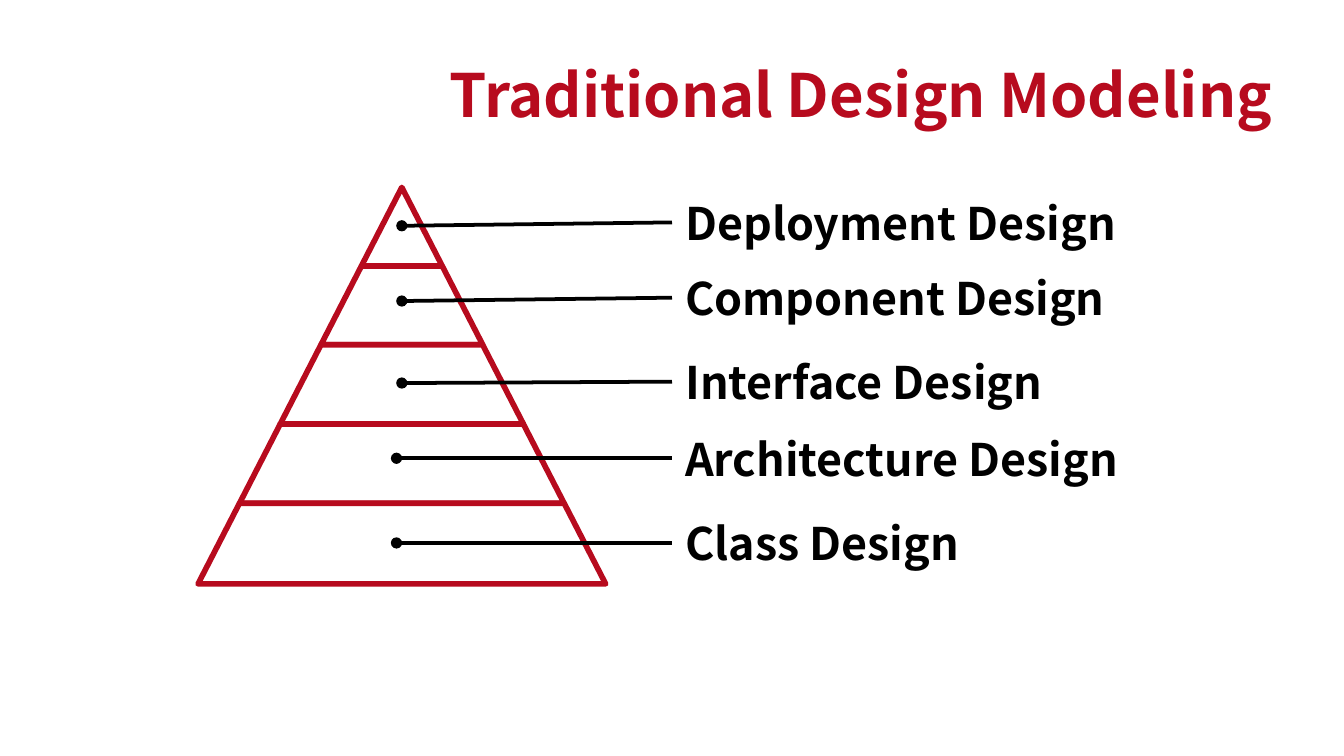
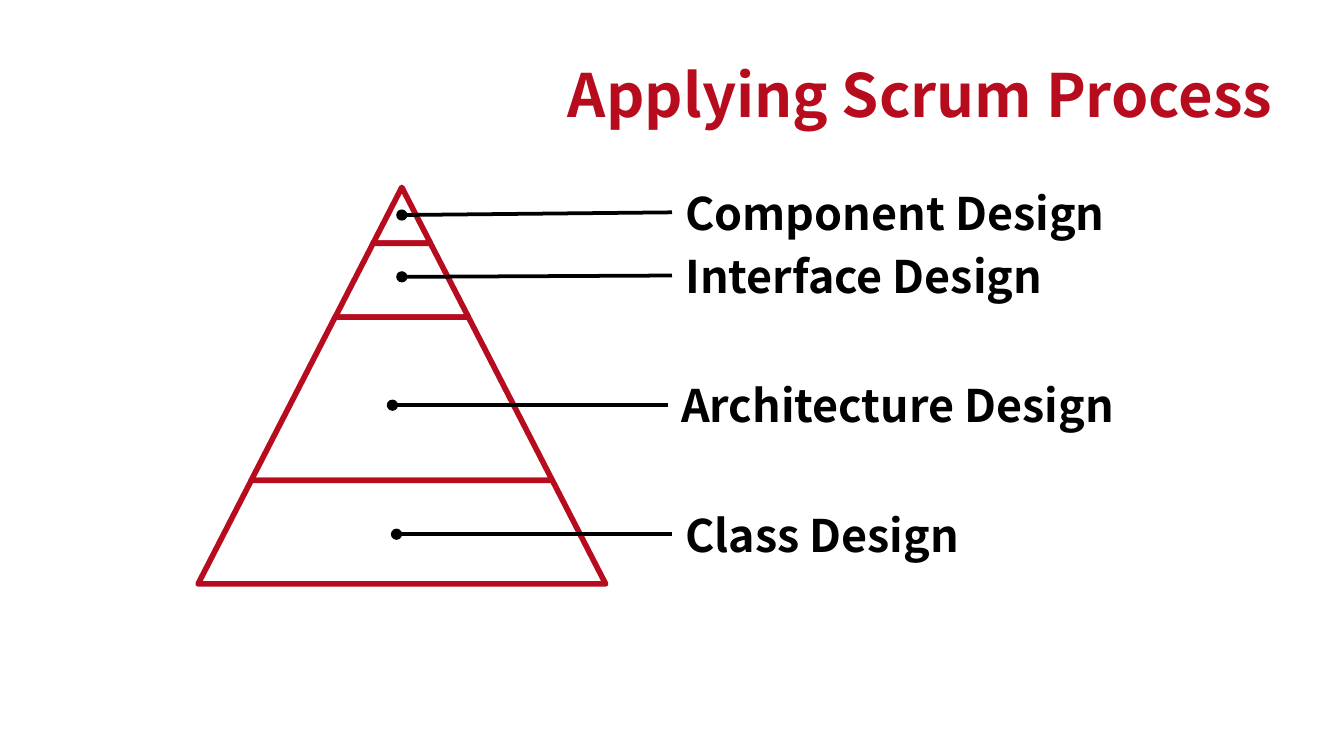
from lxml import etree
from pptx import Presentation, util as u
from pptx.dml.color import RGBColor
from pptx.enum import shapes, text
from pptx.oxml import ns

# Content: tier edges from apex to base, then labels as (text, left, top, dot x, dot y)
SLIDES = [
    {
        "title": "Traditional Design Modeling",
        "title_width": 1276,
        "edges": [279, 396, 513, 631, 749, 869],
        "labels": [
            ("Deployment Design", 1000, 281, 598, 336),
            ("Component Design", 1000, 393, 598, 448),
            ("Interface Design", 1000, 518, 598, 570),
            ("Architecture Design", 1000, 632, 590, 682),
            ("Class Design", 1000, 758, 590, 808),
        ],
    },
    {
        "title": "Applying Scrum Process",
        "title_width": 1100,
        "edges": [279, 362, 472, 715, 869],
        "labels": [
            ("Component Design", 1000, 266, 598, 320),
            ("Interface Design", 1000, 360, 598, 412),
            ("Architecture Design", 994, 553, 584, 603),
            ("Class Design", 1000, 745, 590, 795),
        ],
    },
]
LABEL_WIDTHS = {
    "Deployment Design": 688,
    "Component Design": 670,
    "Interface Design": 576,
    "Architecture Design": 690,
    "Class Design": 452,
}

# Shared style, 200 px to the inch
EMU_PER_PX = 4572
FONT = "Noto Sans CJK KR"
RED = RGBColor(0xB7, 0x0B, 0x1E)
BLACK = RGBColor(0, 0, 0)
WHITE = RGBColor(255, 255, 255)
SLIDE_WIDTH, SLIDE_HEIGHT = 2000, 1125
TITLE_RIGHT, TITLE_TOP, TITLE_HEIGHT = 1914, 76, 128
LABEL_HEIGHT = 100
PYRAMID_CENTER = 598
SLOPE = 0.514  # half width gained per unit of depth
LEFT_SIDE = 1


def px(value):
    return u.Emu(round(value * EMU_PER_PX))


def add_text(slide, words, left, top, width, height, size, color, align):
    box = slide.shapes.add_textbox(px(left), px(top), px(width), px(height))
    frame = box.text_frame
    frame.word_wrap = False
    frame.auto_size = text.MSO_AUTO_SIZE.SHAPE_TO_FIT_TEXT
    paragraph = frame.paragraphs[0]
    paragraph.text = words
    paragraph.alignment = align
    font = paragraph.font
    font.name, font.size, font.bold = FONT, u.Pt(size), True
    font.color.rgb = color
    return box


def add_pyramid(slide, edges):
    group = slide.shapes.add_group_shape()
    for top, bottom in zip(edges, edges[1:]):
        half = (bottom - edges[0]) * SLOPE
        width, height = 2 * half, bottom - top
        tier = group.shapes.add_shape(
            shapes.MSO_SHAPE.TRAPEZOID,
            px(PYRAMID_CENTER - half), px(top), px(width), px(height))
        tier.adjustments[0] = SLOPE
        tier.shadow.inherit = False
        tier.fill.solid()
        tier.fill.fore_color.rgb = WHITE
        tier.line.color.rgb = RED
        tier.line.width = u.Pt(3)
        # Rounded corners on the outline
        outline = tier._element.spPr.find(ns.qn("a:ln"))
        etree.SubElement(outline, ns.qn("a:round"))


def add_leader(slide, dot_x, dot_y, label):
    leader = slide.shapes.add_connector(
        shapes.MSO_CONNECTOR.STRAIGHT,
        px(dot_x), px(dot_y), label.left, label.top + label.height // 2)
    leader.end_connect(label, LEFT_SIDE)
    leader.line.color.rgb = BLACK
    leader.line.width = u.Pt(2)
    # Oval at the pyramid end, no shadow
    properties = leader._element.spPr
    etree.SubElement(properties.find(ns.qn("a:ln")), ns.qn("a:headEnd"), type="oval")
    etree.SubElement(properties, ns.qn("a:effectLst"))


def add_slide(presentation, content):
    slide = presentation.slides.add_slide(presentation.slide_layouts[6])
    add_pyramid(slide, content["edges"])
    width = content["title_width"]
    add_text(slide, content["title"], TITLE_RIGHT - width, TITLE_TOP, width,
             TITLE_HEIGHT, 32, RED, text.PP_ALIGN.RIGHT)
    for words, left, top, dot_x, dot_y in content["labels"]:
        label = add_text(slide, words, left, top, LABEL_WIDTHS[words],
                         LABEL_HEIGHT, 24, BLACK, text.PP_ALIGN.LEFT)
        add_leader(slide, dot_x, dot_y, label)


def main():
    presentation = Presentation()
    presentation.slide_width = px(SLIDE_WIDTH)
    presentation.slide_height = px(SLIDE_HEIGHT)
    for content in SLIDES:
        add_slide(presentation, content)
    presentation.save("out.pptx")


if __name__ == "__main__":
    main()
